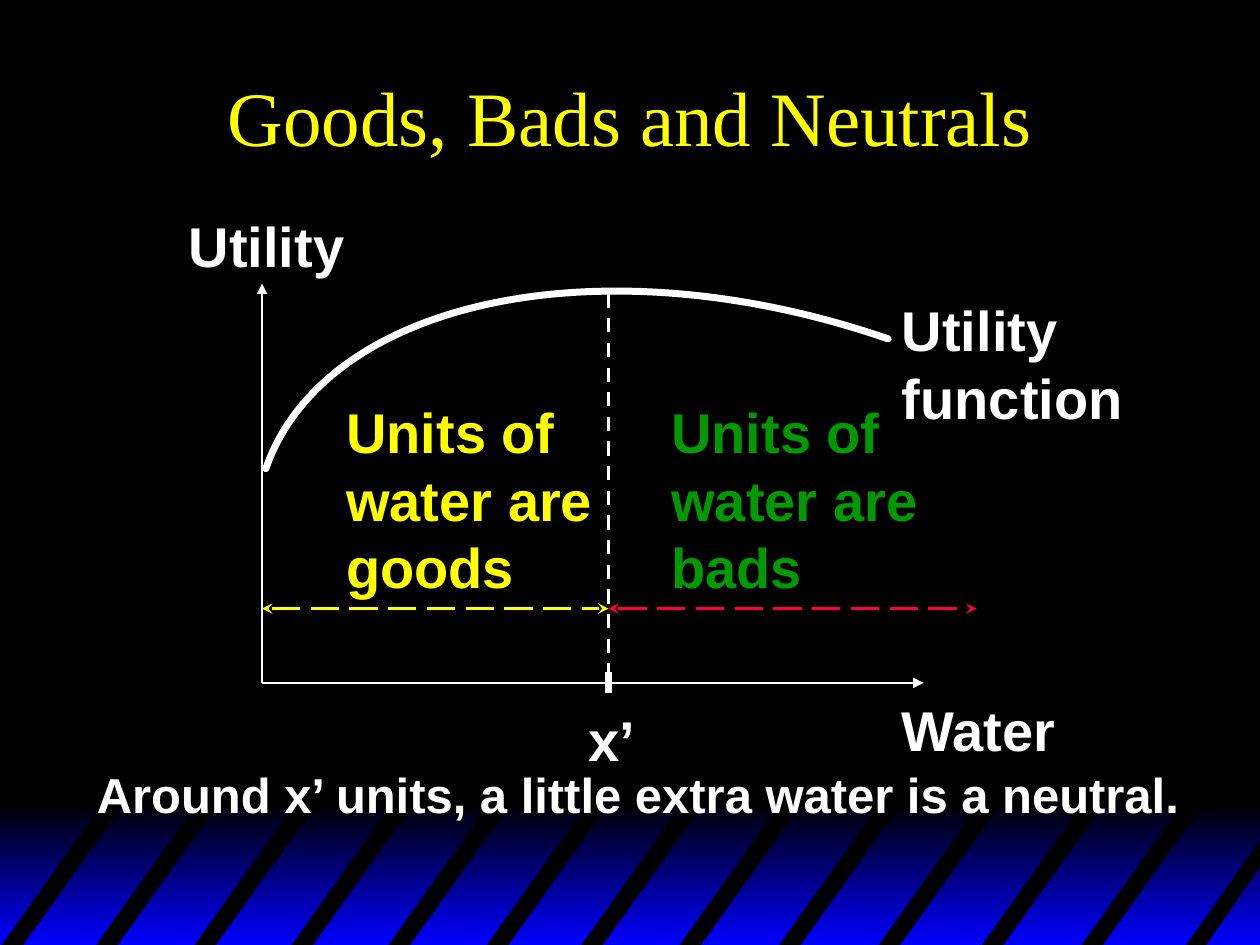
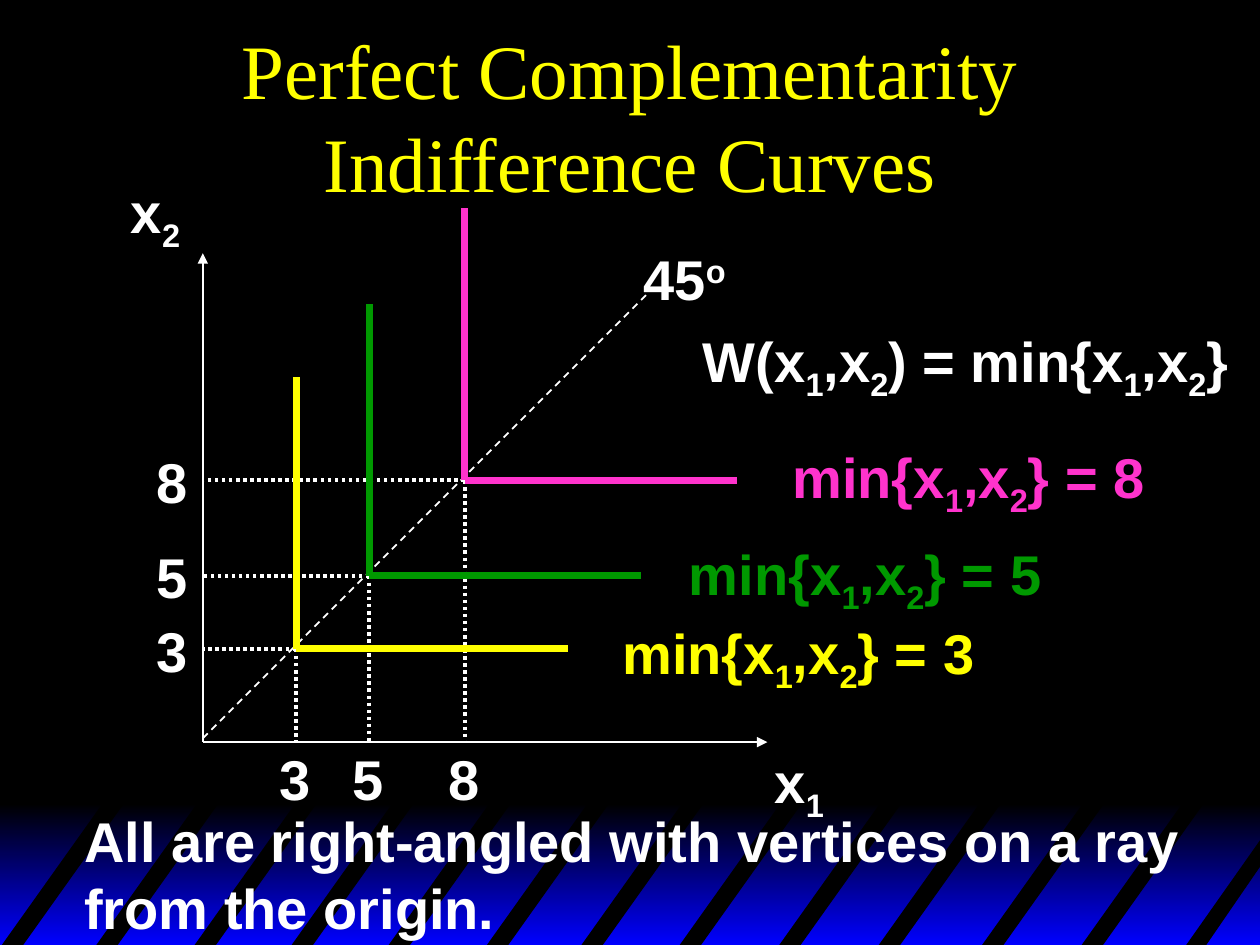
from lxml import etree
from pptx import Presentation
from pptx.dml.color import RGBColor
from pptx.enum.dml import MSO_LINE
from pptx.enum.shapes import MSO_CONNECTOR, MSO_SHAPE
from pptx.enum.text import MSO_ANCHOR, MSO_AUTO_SIZE, PP_ALIGN
from pptx.oxml.ns import qn
from pptx.util import Inches, Pt

BLACK, WHITE, BLUE = "000000", "FFFFFF", "0000FF"
YELLOW, GREEN, PINK, RED = "FFFF00", "009900", "FF33CC", "FF0033"
TITLE_FONT, BODY_FONT = "Times New Roman", "Arial"
THIN, MEDIUM, THICK = 1, 2, 4
STRIPE_LEFTS = (0, 0.75, 1.53, 2.3, 3.07, 3.85, 4.6, 5.38, 6.17, 6.96, 7.78, 8.57)


def color(hex_string):
    """Turn a hex string into a colour."""
    return RGBColor.from_string(hex_string)


def add_text(slide, text, left, top, width, height, hue=WHITE, size=32,
             wrap=False, baseline=-25):
    """Add bold text; a character after "_" is shifted by the baseline percentage."""
    box = slide.shapes.add_textbox(Inches(left), Inches(top), Inches(width), Inches(height))
    frame = box.text_frame
    frame.word_wrap = wrap
    frame.auto_size = MSO_AUTO_SIZE.SHAPE_TO_FIT_TEXT
    paragraph = frame.paragraphs[0]
    first, *shifted_parts = text.split("_")
    paragraph.text = first
    for part in shifted_parts:
        shifted = paragraph.add_run()
        shifted.text = part[0]
        shifted._r.get_or_add_rPr().set("baseline", str(baseline * 1000))
        if part[1:]:
            paragraph.add_run().text = part[1:]
    style_paragraph(paragraph, BODY_FONT, size, hue, True)
    return box


def style_paragraph(paragraph, name, size, hue, bold):
    """Set the font of a whole paragraph."""
    font = paragraph.font
    font.name, font.size, font.bold = name, Pt(size), bold
    font.color.rgb = color(hue)


def add_line(slide, start, end, hue=WHITE, weight=THIN, dash=None, head=None, tail=None):
    """Add a straight line between two points in inches."""
    line = slide.shapes.add_connector(
        MSO_CONNECTOR.STRAIGHT, *(Inches(value) for value in (*start, *end)))
    line.line.color.rgb = color(hue)
    line.line.width = Pt(weight)
    if dash:
        line.line.dash_style = dash
    outline = line.line._get_or_add_ln()
    for tag, arrow in (("a:headEnd", head), ("a:tailEnd", tail)):
        if arrow:
            etree.SubElement(outline, qn(tag)).set("type", arrow)
    etree.SubElement(line._element.spPr, qn("a:effectLst"))


def add_outline(slide, points, close=True):
    """Add a freeform through points in inches."""
    (left, top), *others = [(Inches(x), Inches(y)) for x, y in points]
    builder = slide.shapes.build_freeform(left, top)
    builder.add_line_segments(others, close=close)
    shape = builder.convert_to_shape()
    shape.shadow.inherit = False
    return shape


def add_curve(slide, points, hue, weight):
    """Add an open cubic curve from its two ends and two control points."""
    curve = add_outline(slide, points, close=False)
    curve.fill.background()
    curve.line.color.rgb = color(hue)
    curve.line.width = Pt(weight)
    curve.line._get_or_add_ln().set("cap", "rnd")
    path = next(curve._element.iter(qn("a:path")))
    bezier = etree.SubElement(path, qn("a:cubicBezTo"))
    for segment in path.findall(qn("a:lnTo")):
        bezier.append(segment[0])
        path.remove(segment)


def add_band(slide, left, top, width, height):
    """Add the blue gradient band with its slanted black stripes."""
    band = slide.shapes.add_shape(
        MSO_SHAPE.RECTANGLE, Inches(left), Inches(top), Inches(width), Inches(height))
    band.shadow.inherit = False
    band.line.fill.background()
    band.fill.gradient()
    band.fill.gradient_angle = 270
    for stop, position, hue in zip(band.fill.gradient_stops, (0, 1), (BLACK, BLUE)):
        stop.position = position
        stop.color.rgb = color(hue)
    high, low, right = top - 0.04, top + height + 0.02, left + width
    stripes = [[(left + x, low), (left + x + 0.84, high),
                (left + x + 1.01, high), (left + x + 0.17, low)] for x in STRIPE_LEFTS]
    stripes.append([(right - 0.62, low), (right, high + 0.3),
                    (right, high + 0.51), (right - 0.46, low)])
    for points in stripes:
        stripe = add_outline(slide, points)
        stripe.fill.solid()
        stripe.fill.fore_color.rgb = color(BLACK)
        stripe.line.fill.background()


def add_title(slide, text, left, top, width, height):
    """Add the centred yellow title."""
    box = slide.shapes.add_textbox(Inches(left), Inches(top), Inches(width), Inches(height))
    box.text_frame.word_wrap = True
    box.text_frame.vertical_anchor = MSO_ANCHOR.MIDDLE
    paragraph = box.text_frame.paragraphs[0]
    paragraph.text = text
    paragraph.alignment = PP_ALIGN.CENTER
    style_paragraph(paragraph, TITLE_FONT, 44, YELLOW, False)


def add_slide(presentation, title):
    """Add a slide with the shared band and title."""
    slide = presentation.slides.add_slide(presentation.slide_layouts[6])
    add_band(slide, 0, 6.38, 10.02, 1.12)
    add_title(slide, title, 0.75, 0.25, 8.5, 1.33)
    return slide


def add_axes(slide, left, top, width, height):
    """Add the two axes, with arrowheads pointing up and right."""
    bottom = top + height
    add_line(slide, (left, top), (left, bottom), head="triangle")
    add_line(slide, (left, bottom), (left + width, bottom), tail="triangle")


def add_utility_plot(slide, left, top, width, height):
    """Plot utility of water, with its ranges of goods and bads."""
    bottom, right = top + height, left + width
    peak, range_top = left + 2.75, bottom - 0.59
    add_axes(slide, left, top, width, height)
    add_text(slide, "Utility", left - 0.68, top - 0.62, 1.44, 0.63)
    add_text(slide, "Water", right - 0.27, bottom + 0.05, 1.44, 0.63)
    curve_points = ((0.03, 1.47), (0.5, 0.12), (2.71, -0.34), (4.97, 0.44))
    add_curve(slide, [(left + x, top + y) for x, y in curve_points], WHITE, THICK)
    add_line(slide, (peak, top + 0.08), (peak, bottom), weight=MEDIUM, dash=MSO_LINE.DASH)
    add_line(slide, (peak, bottom - 0.09), (peak, bottom + 0.08), weight=THICK)
    add_text(slide, "x’", peak - 0.26, bottom + 0.13, 0.57, 0.63)
    ranges = (
        (left, peak, YELLOW, left + 0.57, "goods", YELLOW),
        (peak, right + 0.42, RED, left + 3.15, "bads", GREEN),
    )
    for start, end, arrow_hue, text_left, kind, text_hue in ranges:
        add_line(slide, (start, range_top), (end, range_top), arrow_hue, MEDIUM,
                 MSO_LINE.LONG_DASH, "stealth", "stealth")
        add_text(slide, f"Units of\nwater are\n{kind}", text_left, top + 0.86,
                 2.16, 1.7, text_hue)
    add_text(slide, "Utility\nfunction", right - 0.27, top + 0.05, 1.96, 1.17)


def add_complements_plot(slide, left, top, width, height):
    """Plot right-angled indifference curves along the 45 degree ray."""
    bottom, arm = top + height, 2.16
    add_axes(slide, left, top, width, height)
    add_text(slide, "x_2", left - 0.67, top - 0.65, 0.59, 0.71)
    add_text(slide, "x_1", left + width - 0.04, bottom - 0.01, 0.59, 0.71)
    add_line(slide, (left, bottom - 0.03), (left + 3.52, bottom - 3.55), dash=MSO_LINE.DASH)
    add_text(slide, "45_o", left + 3.4, top - 0.12, 0.85, 0.63, baseline=30)

    # Level, distance of the vertex from both axes, colour, place of the equation
    curves = (
        (8, 2.08, PINK, 4.58, 2.43),
        (5, 1.32, GREEN, 3.76, 1.66),
        (3, 0.74, YELLOW, 3.23, 1.03),
    )
    for level, distance, *_ in curves:
        x, y = left + distance, bottom - distance
        for end in ((left, y), (x, bottom)):
            add_line(slide, (x, y), end, weight=MEDIUM, dash=MSO_LINE.ROUND_DOT)
    for level, distance, hue, equation_x, equation_y in curves:
        x, y = left + distance, bottom - distance
        for end in ((x, y - arm), (x + arm, y)):
            add_line(slide, (x, y), end, hue, THICK)
        add_text(slide, str(level), x - 0.23, bottom - 0.03, 0.45, 0.63)
        add_text(slide, str(level), left - 0.47, y - 0.31, 0.45, 0.63)
        add_text(slide, f"min{{x_1,x_2}} = {level}", left + equation_x,
                 bottom - equation_y, 3, 0.71, hue)
    add_text(slide, "W(x_1,x_2) = min{x_1,x_2}", left + 3.87, top + 0.53, 4.37, 0.71)


presentation = Presentation()
presentation.slide_width, presentation.slide_height = Inches(10), Inches(7.5)
background = presentation.slide_master.background.fill
background.solid()
background.fore_color.rgb = color(BLACK)

goods_slide = add_slide(presentation, "Goods, Bads and Neutrals")
add_utility_plot(goods_slide, 2.08, 2.25, 5.25, 3.17)
add_text(goods_slide, "Around x’ units, a little extra water is a neutral.",
         0.67, 6.02, 8.92, 0.57, size=28, wrap=True)

complements_slide = add_slide(presentation, "Perfect Complementarity Indifference Curves")
add_complements_plot(complements_slide, 1.61, 2.01, 4.48, 3.88)
add_text(complements_slide,
         "All are right-angled with vertices on a ray\nfrom the origin.",
         0.57, 6.35, 8.91, 1.17)

presentation.save("out.pptx")
